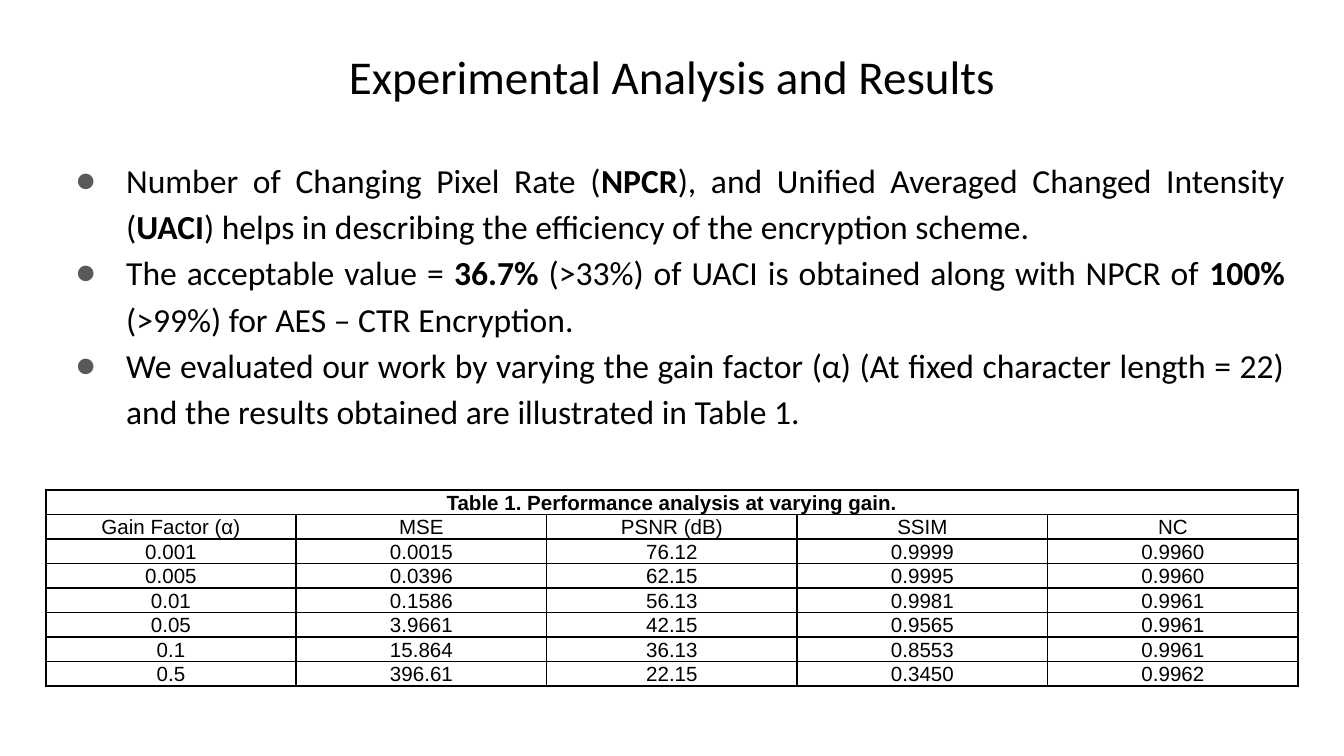
import lxml.etree
import pptx
import pptx.dml.color
import pptx.enum.text
import pptx.oxml.ns
import pptx.util

Pt = pptx.util.Pt
RGB = pptx.dml.color.RGBColor
ALIGN = pptx.enum.text.PP_ALIGN
BLACK = RGB(0x00, 0x00, 0x00)
WHITE = RGB(0xFF, 0xFF, 0xFF)
GREY = RGB(0x59, 0x59, 0x59)

LEFT, WIDTH = 24.5, 671
PAD = 7.2

# Each point is a list of runs: (text, bold).
POINTS = [
    [("Number of Changing Pixel Rate (", False), ("NPCR", True),
     ("), and Unified Averaged Changed Intensity (", False), ("UACI", True),
     (") helps in describing the efficiency of the encryption scheme.", False)],
    [("The acceptable value = ", False), ("36.7% ", True),
     ("(>33%) of UACI is obtained along with NPCR of ", False),
     ("100% ", True), ("(>99%) for AES – CTR Encryption.", False)],
    [("We evaluated our work by varying the gain factor (α) "
      "(At fixed character length = 22) and the results obtained are "
      "illustrated in Table 1. ", False)],
]
HEADING = "Table 1. Performance analysis at varying gain."
ROWS = [
    ["Gain Factor (α)", "MSE", "PSNR (dB)", "SSIM", "NC"],
    ["0.001", "0.0015", "76.12", "0.9999", "0.9960"],
    ["0.005", "0.0396", "62.15", "0.9995", "0.9960"],
    ["0.01", "0.1586", "56.13", "0.9981", "0.9961"],
    ["0.05", "3.9661", "42.15", "0.9565", "0.9961"],
    ["0.1", "15.864", "36.13", "0.8553", "0.9961"],
    ["0.5", "396.61", "22.15", "0.3450", "0.9962"],
]


def add_node(parent, tag, **attrs):
    return lxml.etree.SubElement(parent, pptx.oxml.ns.qn(tag), **attrs)


def add_run(para, text, size, face, bold=False):
    run = para.add_run()
    run.text = text
    run.font.size = Pt(size)
    run.font.name = face
    run.font.bold = bold
    run.font.color.rgb = BLACK


def set_frame(frame):
    frame.word_wrap = True
    frame.auto_size = pptx.enum.text.MSO_AUTO_SIZE.NONE
    frame.vertical_anchor = pptx.enum.text.MSO_ANCHOR.TOP
    frame.margin_left = frame.margin_right = Pt(PAD)
    frame.margin_top = frame.margin_bottom = Pt(PAD)


def add_title(slide, text):
    title = slide.shapes.title
    title.left, title.top = Pt(LEFT), Pt(18)
    title.width, title.height = Pt(WIDTH), Pt(45.4)
    set_frame(title.text_frame)
    para = title.text_frame.paragraphs[0]
    para.alignment = ALIGN.CENTER
    add_run(para, text, 25.2, "Calibri")


def add_bullet(para):
    """Give the paragraph a hanging grey dot; set its spacing beforehand."""
    props = para._p.get_or_add_pPr()
    props.set("marL", str(Pt(36)))
    props.set("indent", str(-Pt(27)))
    add_node(add_node(props, "a:buClr"), "a:srgbClr", val=str(GREY))
    add_node(props, "a:buFont", typeface="Calibri")
    add_node(props, "a:buChar", char="●")


def add_points(slide, points):
    box = slide.shapes.add_textbox(Pt(LEFT), Pt(75), Pt(WIDTH), Pt(175.5))
    frame = box.text_frame
    set_frame(frame)
    for i, runs in enumerate(points):
        para = frame.add_paragraph() if i else frame.paragraphs[0]
        para.alignment = ALIGN.JUSTIFY
        para.line_spacing = 1.15
        add_bullet(para)
        for text, bold in runs:
            add_run(para, text, 18, "Calibri", bold)


def style_cell(cell):
    cell.margin_left = cell.margin_right = Pt(5)
    cell.margin_top = cell.margin_bottom = Pt(0)
    props = cell._tc.get_or_add_tcPr()
    for side in ("a:lnL", "a:lnR", "a:lnT", "a:lnB"):
        line = add_node(props, side, w=str(Pt(1)))
        fill = add_node(line, "a:solidFill")
        add_node(fill, "a:srgbClr", val=str(BLACK))
    cell.fill.background()


def fill_cell(cell, text, bold=False):
    para = cell.text_frame.paragraphs[0]
    para.alignment = ALIGN.CENTER
    para.line_spacing = 1.07
    para.space_after = Pt(8)
    add_run(para, text, 11, "Arial", bold)


def add_grid(slide, heading, rows):
    count, cols, high = len(rows) + 1, len(rows[0]), 13.15
    table = slide.shapes.add_table(
        count, cols, Pt(LEFT), Pt(262.6), Pt(WIDTH), Pt(count * high)).table
    table.first_row = table.horz_banding = False
    for col in table.columns:
        col.width = Pt(WIDTH / cols)
    for row in table.rows:
        row.height = Pt(high)
    for cell in table.iter_cells():
        style_cell(cell)
    table.cell(0, 0).merge(table.cell(0, cols - 1))
    fill_cell(table.cell(0, 0), heading, True)
    for r, row in enumerate(rows, 1):
        for c, text in enumerate(row):
            fill_cell(table.cell(r, c), text)


def main():
    deck = pptx.Presentation()
    deck.slide_width, deck.slide_height = Pt(720), Pt(405)
    slide = deck.slides.add_slide(deck.slide_layouts[5])
    slide.background.fill.solid()
    slide.background.fill.fore_color.rgb = WHITE
    add_title(slide, "Experimental Analysis and Results")
    add_points(slide, POINTS)
    add_grid(slide, HEADING, ROWS)
    deck.save("out.pptx")


if __name__ == "__main__":
    main()
